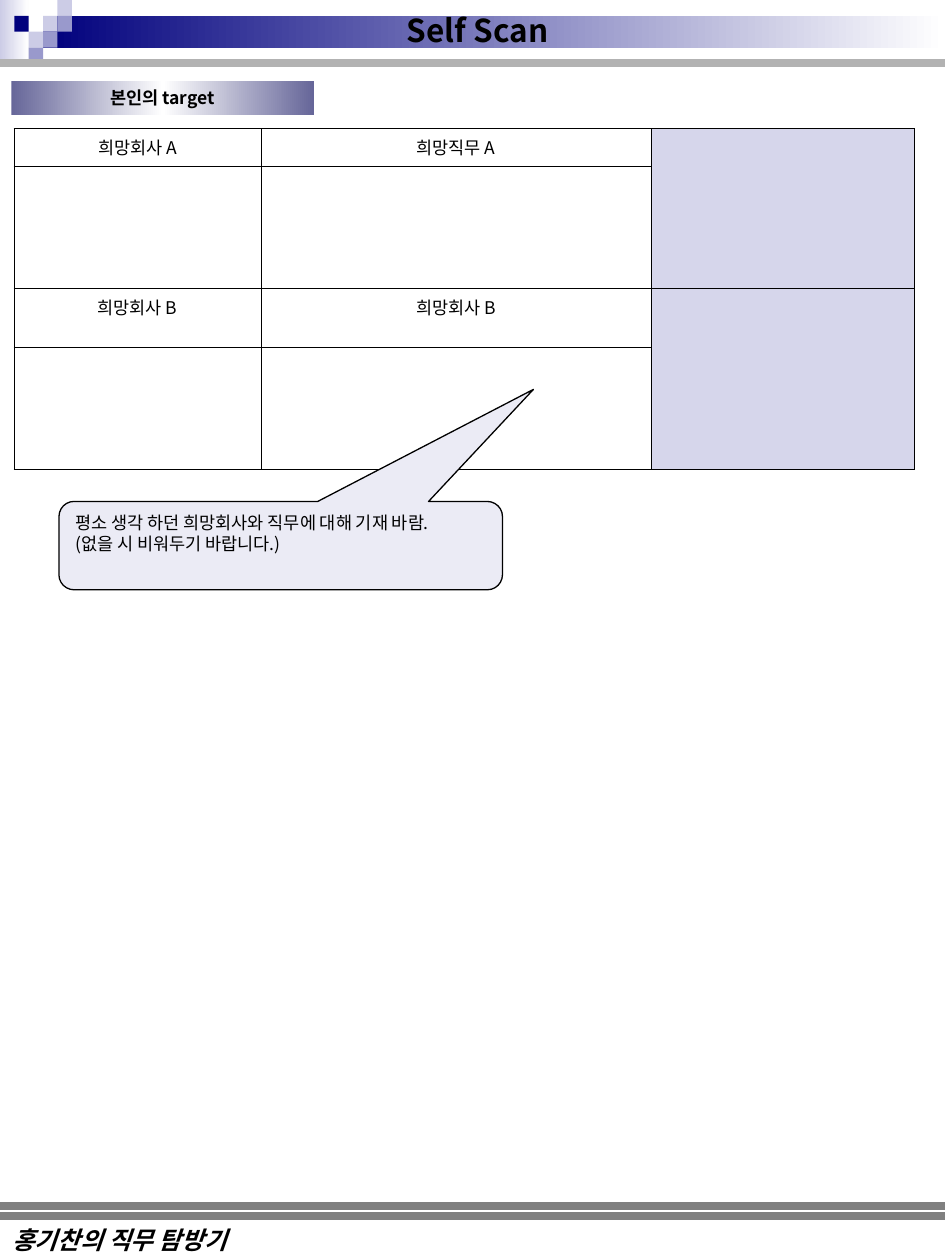
"""Build the Self Scan worksheet slide for a job exploration workbook."""
import dataclasses
import typing

import lxml.etree
import pptx
import pptx.dml.color
import pptx.enum.shapes
import pptx.enum.text
import pptx.oxml.ns
import pptx.util

Cm = pptx.util.Cm
Pt = pptx.util.Pt
RGBColor = pptx.dml.color.RGBColor
Shapes = pptx.enum.shapes.MSO_SHAPE
Align = pptx.enum.text.PP_ALIGN
Anchor = pptx.enum.text.MSO_ANCHOR
qn = pptx.oxml.ns.qn

BLACK = RGBColor(0x00, 0x00, 0x00)
WHITE = RGBColor(0xFF, 0xFF, 0xFF)
NAVY = RGBColor(0x00, 0x00, 0x7D)
LILAC = RGBColor(0xCC, 0xCC, 0xE6)
PERIWINKLE = RGBColor(0x99, 0x99, 0xCC)
SLATE = RGBColor(0x66, 0x66, 0x99)
LIGHT_GREY = RGBColor(0xB2, 0xB2, 0xB2)
GREY = RGBColor(0x80, 0x80, 0x80)
CELL_TINT = RGBColor(0xD6, 0xD6, 0xEB)
NOTE_TINT = RGBColor(0xEB, 0xEB, 0xF5)
FONT = "Noto Sans CJK KR"
SLIDE_WIDTH = Cm(19.05)
TILE_WIDTH, TILE_HEIGHT = Cm(0.29), Cm(0.32)


@dataclasses.dataclass(frozen=True)
class Box:
    left: int
    top: int
    width: int
    height: int


@dataclasses.dataclass(frozen=True)
class Tile:
    column: int
    row: int
    color: RGBColor


@dataclasses.dataclass(frozen=True)
class Rule:
    top: int
    color: RGBColor


BANDS = [
    (Box(Cm(0), Cm(0), Cm(0.58), Cm(1.27)), [LILAC, WHITE]),
    (Box(Cm(0.86), Cm(0.32), Cm(18.19), Cm(0.65)), [NAVY, WHITE]),
]
TILES = [
    Tile(3, 1, LILAC),
    Tile(4, 0, LILAC),
    Tile(4, 1, PERIWINKLE),
    Tile(2, 2, LILAC),
    Tile(1, 1, NAVY),
    Tile(3, 2, PERIWINKLE),
    Tile(2, 3, PERIWINKLE),
]
RULES = [Rule(Cm(1.27), LIGHT_GREY), Rule(Cm(24.51), GREY), Rule(Cm(24.31), GREY)]
COLUMN_WIDTHS = [Cm(4.98), Cm(7.87), Cm(5.31)]
ROW_HEIGHTS = [Cm(0.69), Cm(2.46), Cm(1.19), Cm(2.46)]
HEADINGS = {0: ("희망회사 A", "희망직무 A"), 2: ("희망회사 B", "희망회사 B")}


def write(frame, text: str, *, size: float = 10, bold: bool = False, italic: bool = False,
          font: str = FONT, align=Align.LEFT, before: float = 0) -> None:
    frame.text = text
    for paragraph in frame.paragraphs:
        paragraph.alignment = align
        paragraph.space_before = Pt(before)
        for run in paragraph.runs:
            run.font.size, run.font.bold, run.font.italic = Pt(size), bold, italic
            run.font.name = font
            run.font.color.rgb = BLACK
            east_asian = lxml.etree.Element(qn("a:ea"), typeface=FONT)
            run.font.fill  
            run._r.get_or_add_rPr().find(qn("a:latin")).addnext(east_asian)


def set_frame(frame, *, wrap: bool = True, anchor=Anchor.TOP) -> None:
    frame.auto_size = pptx.enum.text.MSO_AUTO_SIZE.NONE
    frame.word_wrap = wrap
    frame.vertical_anchor = anchor
    frame.margin_left = frame.margin_right = Cm(0.25)
    frame.margin_top = frame.margin_bottom = Cm(0.13)


def add_panel(slide, box: Box, colors: typing.Sequence[RGBColor], kind=Shapes.RECTANGLE):
    panel = slide.shapes.add_shape(kind, box.left, box.top, box.width, box.height)
    panel.shadow.inherit = False
    panel.line.fill.background()
    if len(colors) == 1:
        panel.fill.solid()
        panel.fill.fore_color.rgb = colors[0]
        return panel
    panel.fill.gradient()
    panel.fill.gradient_angle = 0
    stops = panel.element.spPr.find(qn("a:gradFill")).find(qn("a:gsLst"))
    for stop in list(stops):
        stops.remove(stop)
    for index, color in enumerate(colors):
        position = 100000 * index // (len(colors) - 1)
        stop = lxml.etree.SubElement(stops, qn("a:gs"), pos=str(position))
        lxml.etree.SubElement(stop, qn("a:srgbClr"), val=str(color))
    return panel


def add_rule(slide, rule: Rule) -> None:
    line = slide.shapes.add_connector(
        pptx.enum.shapes.MSO_CONNECTOR.STRAIGHT, 0, rule.top, SLIDE_WIDTH, rule.top)
    line.line.color.rgb = rule.color
    line.line.width = Pt(4.5)
    lxml.etree.SubElement(line.element.spPr, qn("a:effectLst"))


def outline_cell(cell) -> None:
    properties = cell._tc.get_or_add_tcPr()
    for side in ("lnL", "lnR", "lnT", "lnB"):
        border = lxml.etree.SubElement(properties, qn(f"a:{side}"), w=str(Pt(0.45)))
        paint = lxml.etree.SubElement(border, qn("a:solidFill"))
        lxml.etree.SubElement(paint, qn("a:srgbClr"), val=str(BLACK))


def add_target_table(slide) -> None:
    table = slide.shapes.add_table(
        len(ROW_HEIGHTS), len(COLUMN_WIDTHS), Cm(0.28), Cm(2.59),
        sum(COLUMN_WIDTHS), sum(ROW_HEIGHTS)).table
    table.first_row = table.horz_banding = False
    for column, width in zip(table.columns, COLUMN_WIDTHS):
        column.width = width
    for row, height in zip(table.rows, ROW_HEIGHTS):
        row.height = height
    for cell in table.iter_cells():
        outline_cell(cell)
        cell.fill.background()
    for row, headings in HEADINGS.items():
        for column, heading in enumerate(headings):
            write(table.cell(row, column).text_frame, heading, align=Align.CENTER, before=2.5)
        blank = table.cell(row, 2)
        blank.merge(table.cell(row + 1, 2))
        blank.fill.solid()
        blank.fill.fore_color.rgb = CELL_TINT


def main() -> None:
    deck = pptx.Presentation()
    deck.slide_width, deck.slide_height = SLIDE_WIDTH, Cm(25.4)
    slide = deck.slides.add_slide(deck.slide_layouts[5])

    for box, colors in BANDS:
        add_panel(slide, box, colors)
    for tile in TILES:
        box = Box(tile.column * TILE_WIDTH, tile.row * TILE_HEIGHT, TILE_WIDTH, TILE_HEIGHT)
        add_panel(slide, box, [tile.color])
    for rule in RULES:
        add_rule(slide, rule)

    footer = slide.shapes.add_textbox(Cm(0), Cm(24.56), Cm(8.74), Cm(0.86))
    set_frame(footer.text_frame)
    write(footer.text_frame, "홍기찬의 직무 탐방기", size=14, bold=True, italic=True,
          font="Times New Roman", before=8.8)

    badge = add_panel(slide, Box(Cm(0.23), Cm(1.63), Cm(6.1), Cm(0.69)), [SLATE, WHITE, SLATE])
    set_frame(badge.text_frame, anchor=Anchor.MIDDLE)
    write(badge.text_frame, "본인의 target", bold=True, align=Align.CENTER)

    add_target_table(slide)

    title = slide.shapes.title
    title.left, title.top, title.width, title.height = Cm(7.95), Cm(0.1), Cm(3.4), Cm(1.02)
    set_frame(title.text_frame, wrap=False)
    write(title.text_frame, "Self Scan", size=18, bold=True)
    title.element.getparent().append(title.element)

    note = add_panel(slide, Box(Cm(1.19), Cm(10.11), Cm(8.94), Cm(1.78)), [NOTE_TINT],
                     Shapes.ROUNDED_RECTANGULAR_CALLOUT)
    for index, adjustment in enumerate((0.57, -1.77, 0.17)):
        note.adjustments[index] = adjustment
    note.line.color.rgb = BLACK
    note.line.width = Pt(0.75)
    set_frame(note.text_frame)
    write(note.text_frame,
          "평소 생각 하던 희망회사와 직무에 대해 기재 바람.\n(없을 시 비워두기 바랍니다.)")

    deck.save("out.pptx")


if __name__ == "__main__":
    main()
